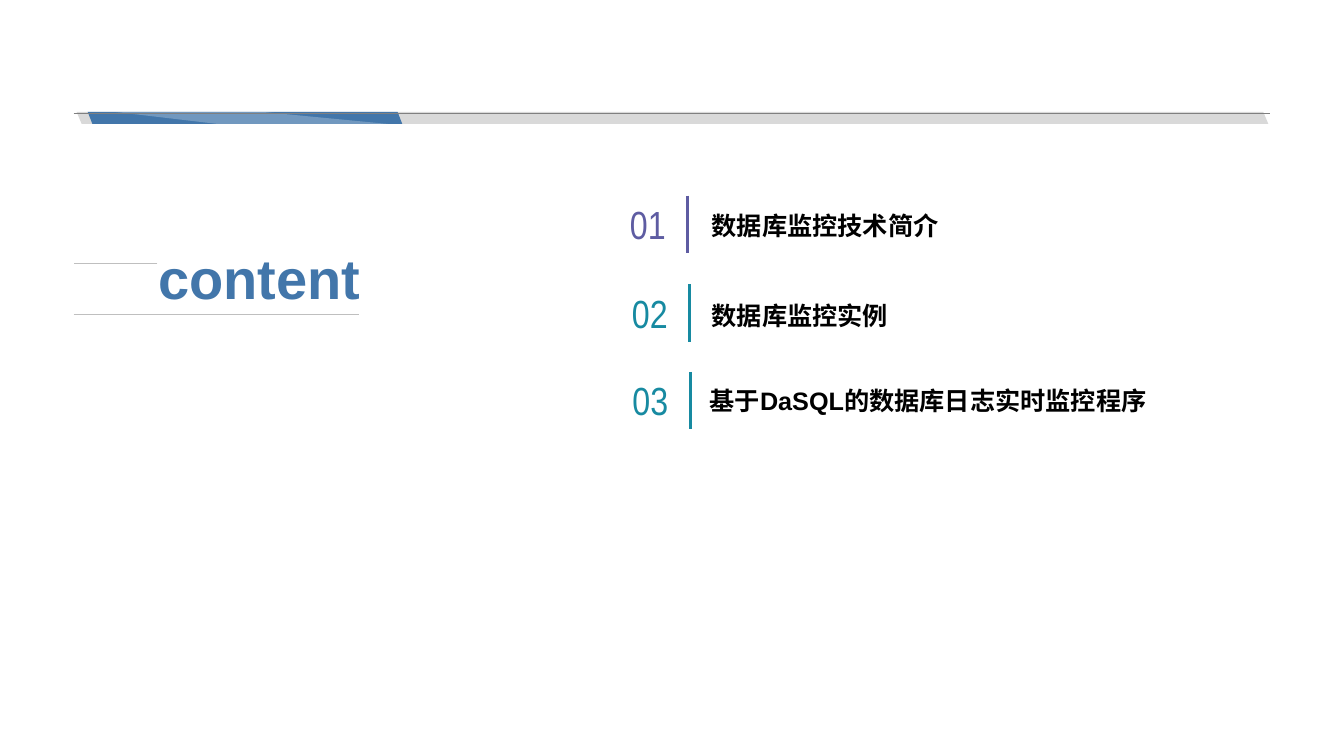
from typing import NamedTuple

from lxml import etree
from pptx import Presentation
from pptx.dml.color import RGBColor
from pptx.enum import shapes, text
from pptx.oxml import ns
from pptx.util import Pt

PX = 9144
BLUE = RGBColor(0x42, 0x76, 0xAA)
PURPLE = RGBColor(0x5E, 0x5C, 0xA2)
TEAL = RGBColor(0x17, 0x8A, 0xA1)
BLACK = RGBColor(0, 0, 0)
WHITE = RGBColor(255, 255, 255)
BAND_GREY = RGBColor(0xD9, 0xD9, 0xD9)
EDGE_GREY = RGBColor(0x80, 0x80, 0x80)
RULE_GREY = RGBColor(0xBF, 0xBF, 0xBF)


class Band(NamedTuple):
    left: int
    width: int
    slant: float
    color: RGBColor


class Rule(NamedTuple):
    x1: int
    y1: int
    x2: int
    y2: int
    color: RGBColor
    weight: float


class Label(NamedTuple):
    left: int
    top: int
    width: int
    height: int
    words: str
    size: int
    color: RGBColor
    font: str = "Arial"
    bold: bool = True
    centred: bool = False
    anchor: text.MSO_ANCHOR = text.MSO_ANCHOR.BOTTOM


class Chapter(NamedTuple):
    number: str
    title: str
    color: RGBColor
    number_width: int
    rule_x: int
    title_left: int
    title_top: int


BAND_TOP, BAND_HEIGHT = 111, 12
BANDS = (Band(76, 1182, 0.42, BAND_GREY), Band(87, 312, 0.39, BLUE))
SHEEN = ((385, 123), (260, 111), (114, 111), (216, 123))
HEADER_RULES = (
    Rule(73, 112, 1260, 112, EDGE_GREY, 0.25),
    Rule(156, 261, 73, 261, RULE_GREY, 0.5),
    Rule(73, 312, 356, 312, RULE_GREY, 0.5),
)
CHAPTER_TOP, CHAPTER_RULE = 194, 57
TWO_CHAPTERS = 175
CHAPTERS = (
    Chapter("01", "数据库监控技术简介", PURPLE, 51, 682, 696, 206),
    Chapter("02", "数据库监控实例", TEAL, 55, 684, 696, 295),
    Chapter("03", "基于DaSQL的数据库日志实时监控程序", TEAL, 56, 685, 694, 380),
)
HEADING = Label(147, 243, 221, 72, "content", 40, BLUE, anchor=text.MSO_ANCHOR.MIDDLE)


def paint(shape, color: RGBColor) -> None:
    """Give a shape a plain fill without outline or shadow."""
    shape.shadow.inherit = False
    shape.fill.solid()
    shape.fill.fore_color.rgb = color
    shape.line.fill.background()


def draw_band(slide, band: Band) -> None:
    """Draw one mirrored parallelogram of the header."""
    shape = slide.shapes.add_shape(
        shapes.MSO_SHAPE.PARALLELOGRAM,
        band.left * PX, BAND_TOP * PX, band.width * PX, BAND_HEIGHT * PX)
    shape.adjustments[0] = band.slant
    shape.element.spPr.get_or_add_xfrm().set("flipH", "1")
    paint(shape, band.color)


def draw_sheen(slide) -> None:
    """Draw the translucent highlight on the blue band."""
    builder = slide.shapes.build_freeform(*SHEEN[0], scale=PX)
    builder.add_line_segments(SHEEN[1:], close=True)
    shape = builder.convert_to_shape()
    paint(shape, WHITE)
    tint = shape.element.spPr.find(ns.qn("a:solidFill"))[0]
    etree.SubElement(tint, ns.qn("a:alpha"), val="25000")


def draw_rule(slide, rule: Rule) -> None:
    """Draw one straight line."""
    line = slide.shapes.add_connector(
        shapes.MSO_CONNECTOR.STRAIGHT,
        rule.x1 * PX, rule.y1 * PX, rule.x2 * PX, rule.y2 * PX)
    line.line.color.rgb = rule.color
    line.line.width = Pt(rule.weight)
    etree.SubElement(line.element.spPr, ns.qn("a:effectLst"))


def draw_label(slide, label: Label) -> None:
    """Draw one unwrapped line of text."""
    box = slide.shapes.add_textbox(
        label.left * PX, label.top * PX, label.width * PX, label.height * PX)
    frame = box.text_frame
    frame.word_wrap = False
    frame.vertical_anchor = label.anchor
    paragraph = frame.paragraphs[0]
    if label.centred:
        frame.margin_left = frame.margin_right = 0
        frame.margin_top = frame.margin_bottom = 0
        paragraph.alignment = text.PP_ALIGN.CENTER
    else:
        paragraph.line_spacing = 0.9
    run = paragraph.add_run()
    run.text = label.words
    run.font.name = label.font
    run.font.size = Pt(label.size)
    run.font.bold = label.bold
    run.font.color.rgb = label.color


def draw_chapter(slide, chapter: Chapter, top: int) -> None:
    """Draw the number, divider and title of one chapter."""
    draw_label(slide, Label(
        617, top + 3, chapter.number_width, 50, chapter.number, 28, chapter.color,
        "Arial Narrow", False, True, text.MSO_ANCHOR.MIDDLE))
    draw_rule(slide, Rule(
        chapter.rule_x, top, chapter.rule_x, top + CHAPTER_RULE, chapter.color, 2.25))
    draw_label(slide, Label(
        chapter.title_left, chapter.title_top, 490, 38, chapter.title, 18, BLACK))


def main() -> None:
    """Build and save the contents slide."""
    deck = Presentation()
    deck.slide_width, deck.slide_height = 1333 * PX, 750 * PX
    slide = deck.slides.add_slide(deck.slide_layouts[6])
    for band in BANDS:
        draw_band(slide, band)
    draw_sheen(slide)
    for rule in HEADER_RULES:
        draw_rule(slide, rule)
    for row, chapter in enumerate(CHAPTERS):
        draw_chapter(slide, chapter, CHAPTER_TOP + (row * TWO_CHAPTERS + 1) // 2)
    draw_label(slide, HEADING)
    deck.save("out.pptx")


if __name__ == "__main__":
    main()
